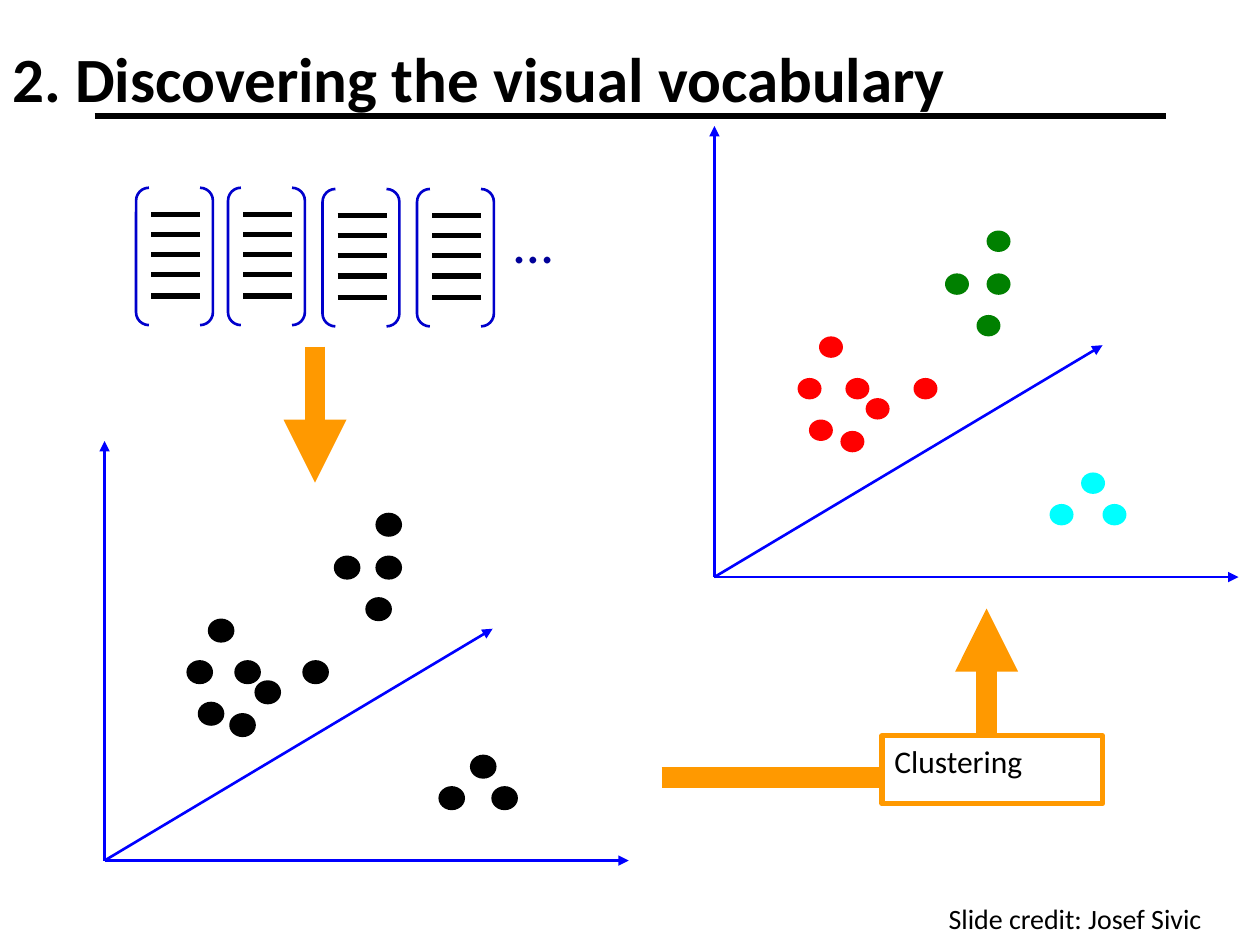
from typing import NamedTuple, Optional

import lxml.etree
import pptx
import pptx.dml.color
import pptx.enum.shapes
import pptx.enum.text
import pptx.oxml.ns
import pptx.util

Inches = pptx.util.Inches
Pt = pptx.util.Pt
RGBColor = pptx.dml.color.RGBColor
Shapes = pptx.enum.shapes.MSO_SHAPE
Anchor = pptx.enum.text.MSO_ANCHOR

BLACK = RGBColor(0x00, 0x00, 0x00)
WHITE = RGBColor(0xFF, 0xFF, 0xFF)
AXIS_BLUE = RGBColor(0x00, 0x00, 0xFF)
BRACKET_BLUE = RGBColor(0x00, 0x00, 0xCC)
ELLIPSIS_BLUE = RGBColor(0x00, 0x00, 0x99)
ORANGE = RGBColor(0xFF, 0x99, 0x00)
RED = RGBColor(0xFF, 0x00, 0x00)
GREEN = RGBColor(0x00, 0x80, 0x00)
CYAN = RGBColor(0x00, 0xFF, 0xFF)
FONT = "Calibri"


class Point(NamedTuple):
    x: float
    y: float


class Box(NamedTuple):
    left: float
    top: float
    width: float
    height: float


class Stroke(NamedTuple):
    color: RGBColor
    width: float
    arrow: bool = False


class Cluster(NamedTuple):
    color: RGBColor
    dots: tuple[Point, ...]


class Plot(NamedTuple):
    origin: Point
    axis_height: float
    dot_color: Optional[RGBColor] = None


RULE = Stroke(BLACK, 3)
AXIS = Stroke(AXIS_BLUE, 1.5, True)
FLOW = Stroke(ORANGE, 12)
FLOW_ARROW = Stroke(ORANGE, 12, True)
DOT_OUTLINE = Stroke(BLACK, 1.5)
BRACKET = Stroke(BRACKET_BLUE, 1.5)
FRAME = Stroke(ORANGE, 3)

DESCRIPTORS = (Point(1.08, 1.49), Point(1.81, 1.49), Point(2.56, 1.5), Point(3.31, 1.5))
DESCRIPTOR_ROWS = (0.21, 0.37, 0.53, 0.69, 0.86)
PLOTS = (Plot(Point(0.83, 6.83), 3.33, BLACK), Plot(Point(5.67, 4.58), 3.58))
CLUSTERS = (
    Cluster(RED, (
        Point(1.04, -1.58), Point(1.2, -1.42), Point(0.66, -1.58), Point(1, -1.16),
        Point(0.75, -1.25), Point(1.58, -1.58), Point(0.83, -1.91),
    )),
    Cluster(GREEN, (
        Point(2.16, -2.75), Point(2.08, -2.08), Point(1.83, -2.41), Point(2.16, -2.41),
    )),
    Cluster(CYAN, (Point(3.08, -0.58), Point(2.91, -0.83), Point(2.66, -0.58))),
)


def add_line(shapes, start: Point, end: Point, stroke: Stroke) -> None:
    connector = shapes.add_connector(
        pptx.enum.shapes.MSO_CONNECTOR.STRAIGHT,
        Inches(start.x), Inches(start.y), Inches(end.x), Inches(end.y),
    )
    connector.line.color.rgb = stroke.color
    connector.line.width = Pt(stroke.width)
    if stroke.arrow:
        line = connector.line._get_or_add_ln()
        lxml.etree.SubElement(line, pptx.oxml.ns.qn("a:tailEnd"), type="triangle")
    properties = connector._element.spPr
    lxml.etree.SubElement(properties, pptx.oxml.ns.qn("a:effectLst"))


def add_shape(shapes, kind: Shapes, box: Box, fill: Optional[RGBColor], stroke: Optional[Stroke]):
    shape = shapes.add_shape(kind, *map(Inches, box))
    shape.shadow.inherit = False
    if fill is None:
        shape.fill.background()
    else:
        shape.fill.solid()
        shape.fill.fore_color.rgb = fill
    if stroke is None:
        shape.line.fill.background()
    else:
        shape.line.color.rgb = stroke.color
        shape.line.width = Pt(stroke.width)
    return shape


def write(shape, text: str, size: float, color: RGBColor = BLACK,
          bold: bool = False, anchor: Anchor = Anchor.TOP) -> None:
    frame = shape.text_frame
    frame.word_wrap = True
    frame.vertical_anchor = anchor
    paragraph = frame.paragraphs[0]
    paragraph.alignment = pptx.enum.text.PP_ALIGN.LEFT
    run = paragraph.add_run()
    run.text = text
    run.font.name = FONT
    run.font.size = Pt(size)
    run.font.bold = bold
    run.font.color.rgb = color


def add_text(shapes, box: Box, text: str, size: float, **style) -> None:
    write(shapes.add_textbox(*map(Inches, box)), text, size, **style)


def add_descriptor(shapes, corner: Point) -> None:
    group = shapes.add_group_shape().shapes
    bracket = add_shape(group, Shapes.DOUBLE_BRACKET, Box(*corner, 0.61, 1.09), None, BRACKET)
    bracket.adjustments[0] = 0.167
    for row in DESCRIPTOR_ROWS:
        y = corner.y + row
        add_line(group, Point(corner.x + 0.12, y), Point(corner.x + 0.51, y), RULE)


def add_plot(shapes, plot: Plot) -> None:
    x, y = plot.origin
    for end in (Point(x, y - plot.axis_height), Point(x + 4.16, y), Point(x + 3.08, y - 1.84)):
        add_line(shapes, plot.origin, end, AXIS)
    outline = DOT_OUTLINE if plot.dot_color is not None else None
    for cluster in CLUSTERS:
        color = cluster.color if plot.dot_color is None else plot.dot_color
        for dot in cluster.dots:
            add_shape(shapes, Shapes.OVAL, Box(x + dot.x, y + dot.y, 0.19, 0.17), color, outline)


def main() -> None:
    """Build the slide on discovering the visual vocabulary."""
    presentation = pptx.Presentation()
    presentation.slide_width = Inches(10)
    presentation.slide_height = Inches(7.5)
    slide = presentation.slides.add_slide(presentation.slide_layouts[6])
    shapes = slide.shapes

    add_line(shapes, Point(0.75, 0.92), Point(9.25, 0.92), RULE)
    add_text(shapes, Box(0, 0.3, 10, 0.62), "2. Discovering the visual vocabulary", 36,
             bold=True, anchor=Anchor.MIDDLE)
    for corner in DESCRIPTORS:
        add_descriptor(shapes, corner)
    add_text(shapes, Box(3.98, 1.6, 0.65, 0.63), "…", 32, color=ELLIPSIS_BLUE)
    for plot in PLOTS:
        add_plot(shapes, plot)

    add_line(shapes, Point(2.5, 2.75), Point(2.5, 3.83), FLOW_ARROW)
    add_line(shapes, Point(5.25, 6.17), Point(7.5, 6.17), FLOW)
    add_line(shapes, Point(7.83, 6.17), Point(7.83, 4.83), FLOW_ARROW)
    clustering = add_shape(shapes, Shapes.RECTANGLE, Box(7, 5.84, 1.75, 0.54), WHITE, FRAME)
    write(clustering, "Clustering", 18)
    add_text(shapes, Box(7.43, 7.11, 2.48, 0.37), "Slide credit: Josef Sivic", 16)

    presentation.save("out.pptx")


if __name__ == "__main__":
    main()
